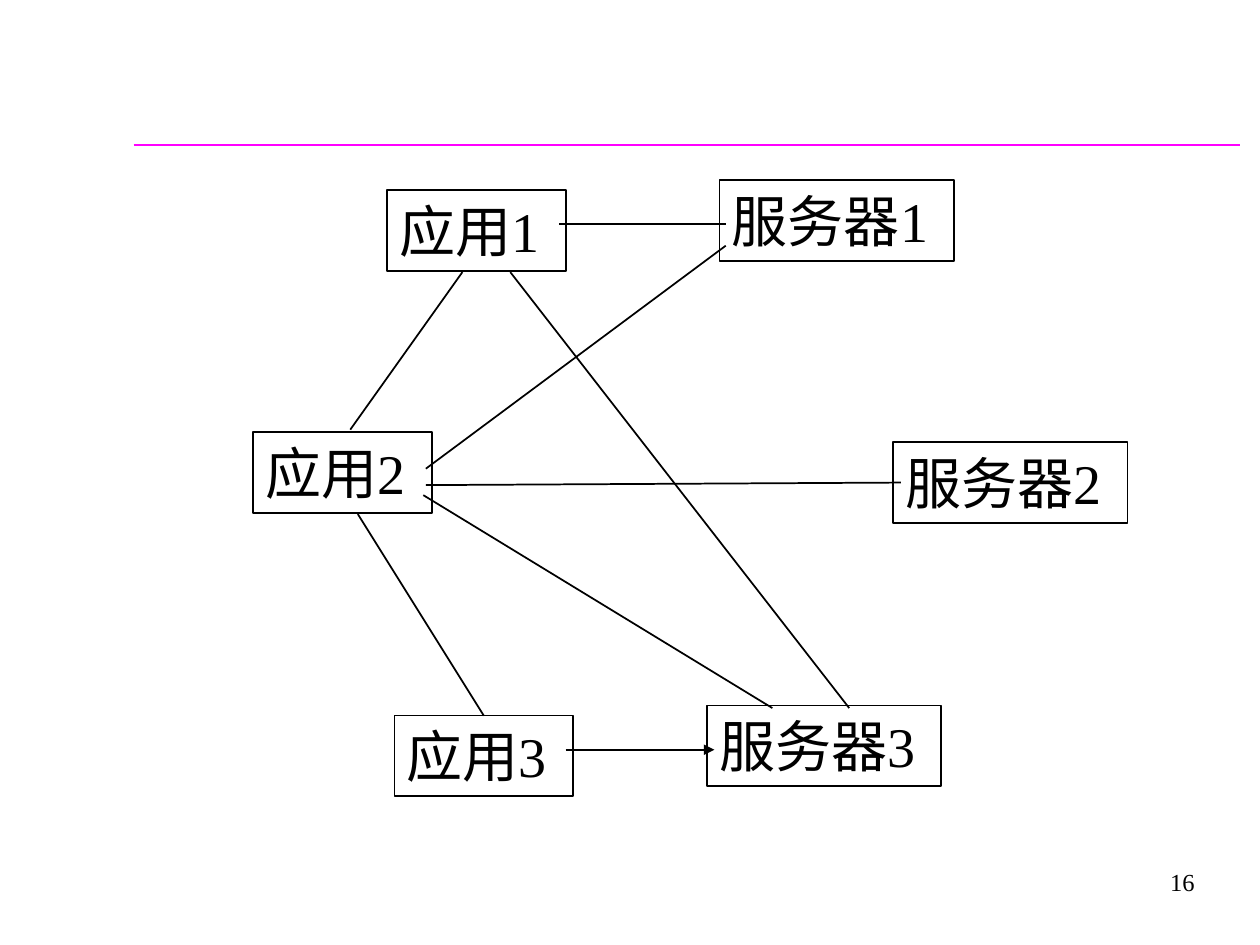
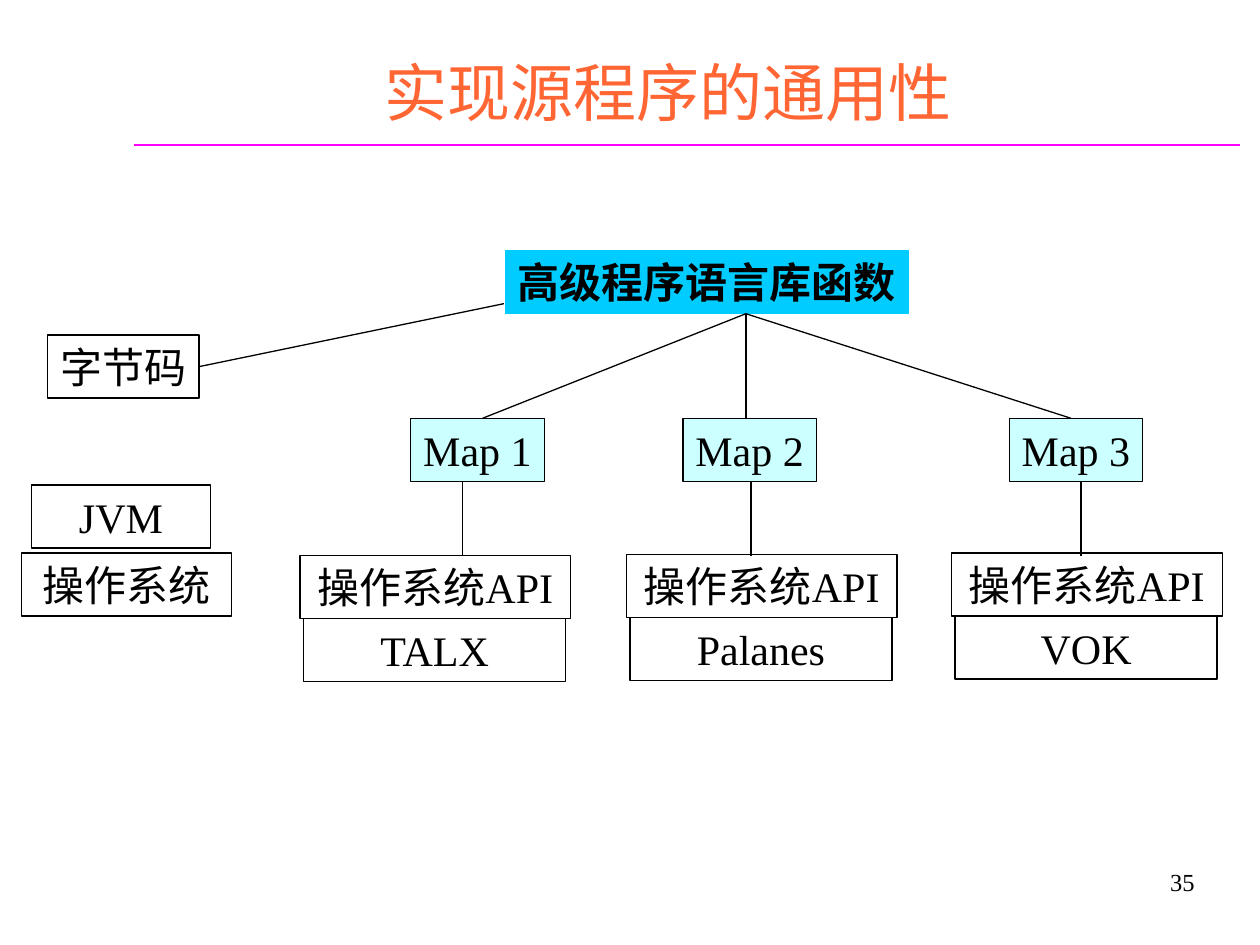
from lxml import etree
from pptx import Presentation, util as u
from pptx.dml.color import RGBColor
from pptx.enum import shapes, text
from pptx.oxml.ns import qn

PX = 9144  # 100 px to the inch
BLACK = RGBColor(0x00, 0x00, 0x00)
MAGENTA = RGBColor(0xFF, 0x00, 0xFF)
ORANGE = RGBColor(0xFF, 0x66, 0x33)
CYAN = RGBColor(0x00, 0xCC, 0xFF)
PALE_CYAN = RGBColor(0xCC, 0xFF, 0xFF)
LATIN, CJK = "Times New Roman", "Noto Sans CJK SC"
LEFT, CENTER, RIGHT = text.PP_ALIGN.LEFT, text.PP_ALIGN.CENTER, text.PP_ALIGN.RIGHT
TOP, MIDDLE, BOTTOM = text.MSO_ANCHOR.TOP, text.MSO_ANCHOR.MIDDLE, text.MSO_ANCHOR.BOTTOM


def add_box(s, label, x, y, w, h, size, align=CENTER, anchor=TOP, line=BLACK,
            width=0.75, fill=None, color=BLACK, bold=False, font=LATIN):
    """Rectangle with one line of text; a plain text box when line is None."""
    place = [v * PX for v in (x, y, w, h)]
    if line is None:
        sp = s.shapes.add_textbox(*place)
    else:
        sp = s.shapes.add_shape(shapes.MSO_SHAPE.RECTANGLE, *place)
        sp.shadow.inherit = False
        sp.line.color.rgb = line
        sp.line.width = u.Pt(width)
        if fill is None:
            sp.fill.background()
        else:
            sp.fill.solid()
            sp.fill.fore_color.rgb = fill
    tf = sp.text_frame
    tf.word_wrap = False
    tf.vertical_anchor = anchor
    tf.text = label
    p = tf.paragraphs[0]
    p.alignment = align
    r = p.runs[0]
    r.font.size = u.Pt(size)
    r.font.name = font
    r.font.bold = bold
    r.font.color.rgb = color
    etree.SubElement(r.font._element, qn("a:ea")).set("typeface", CJK)
    return sp


def add_line(s, x1, y1, x2, y2, width, color=BLACK, arrow=False):
    ln = s.shapes.add_connector(shapes.MSO_CONNECTOR.STRAIGHT,
                                *[v * PX for v in (x1, y1, x2, y2)])
    ln.line.color.rgb = color
    ln.line.width = u.Pt(width)
    if arrow:
        etree.SubElement(ln.line._get_or_add_ln(), qn("a:tailEnd")).set("type", "triangle")
    etree.SubElement(ln._element.spPr, qn("a:effectLst"))
    return ln


prs = Presentation()
prs.slide_width, prs.slide_height = 1000 * PX, 750 * PX

# Shared parts: header rule and page number
for page in ("16", "35"):
    s = prs.slides.add_slide(prs.slide_layouts[6])
    add_line(s, 106, 115, 984, 115, 1.5, MAGENTA)
    add_box(s, page, 750, 675, 208, 50, 14, RIGHT, MIDDLE, line=None)
network, portability = prs.slides

# Slide 1: applications and servers
nodes = {}
for name, w, corners in (("应用", 142, ((307, 151), (201, 343), (313, 568))),
                         ("服务器", 186, ((571, 143), (709, 351), (561, 560)))):
    for n, (x, y) in enumerate(corners, 1):
        label = f"{name}{n}"
        nodes[label] = add_box(network, label, x, y, w, 64, 32, LEFT, width=1)

for ends in ((367, 216, 278, 341), (444, 178, 576, 178), (338, 372, 576, 195),
             (338, 385, 715, 383), (336, 393, 613, 562), (405, 216, 674, 562)):
    add_line(network, *ends, 1)
add_line(network, 449, 595, 567, 595, 1, arrow=True)
ln = add_line(network, 384, 568, 284, 408, 1)
ln.begin_connect(nodes["应用3"], 0)

# Slide 2: title and library box
s = portability
add_box(s, "实现源程序的通用性", 61, 25, 939, 82, 36, anchor=BOTTOM,
        line=None, color=ORANGE, font=CJK)
add_box(s, "高级程序语言库函数", 401, 199, 320, 50, 24, line=CYAN, fill=CYAN, bold=True)

# One branch per platform: map, system API, system
branches = (("TALX", 238, 441, 326, 383, 367),
            ("Palanes", 497, 440, 542, 592, 596),
            ("VOK", 755, 439, 801, 850, 858))
for n, (system, x, y, map_x, map_end, stem_x) in enumerate(branches, 1):
    add_box(s, f"Map {n}", map_x, 332, 106, 50, 24, fill=PALE_CYAN)
    add_box(s, "操作系统API", x, y, 215, 50, 24)
    add_box(s, system, x + 3, y + 50, 208, 50, 24)
    add_line(s, 592, 249, map_end, 332, 0.75)
    add_line(s, stem_x, 382, stem_x, 441, 0.75)

# Bytecode branch
bytecode = add_box(s, "字节码", 38, 266, 120, 50, 24)
add_box(s, "JVM", 25, 385, 142, 50, 24)
add_box(s, "操作系统", 17, 439, 167, 50, 24)
ln = add_line(s, 400, 241, 158, 291, 0.75)
ln.end_connect(bytecode, 3)

prs.save("out.pptx")
